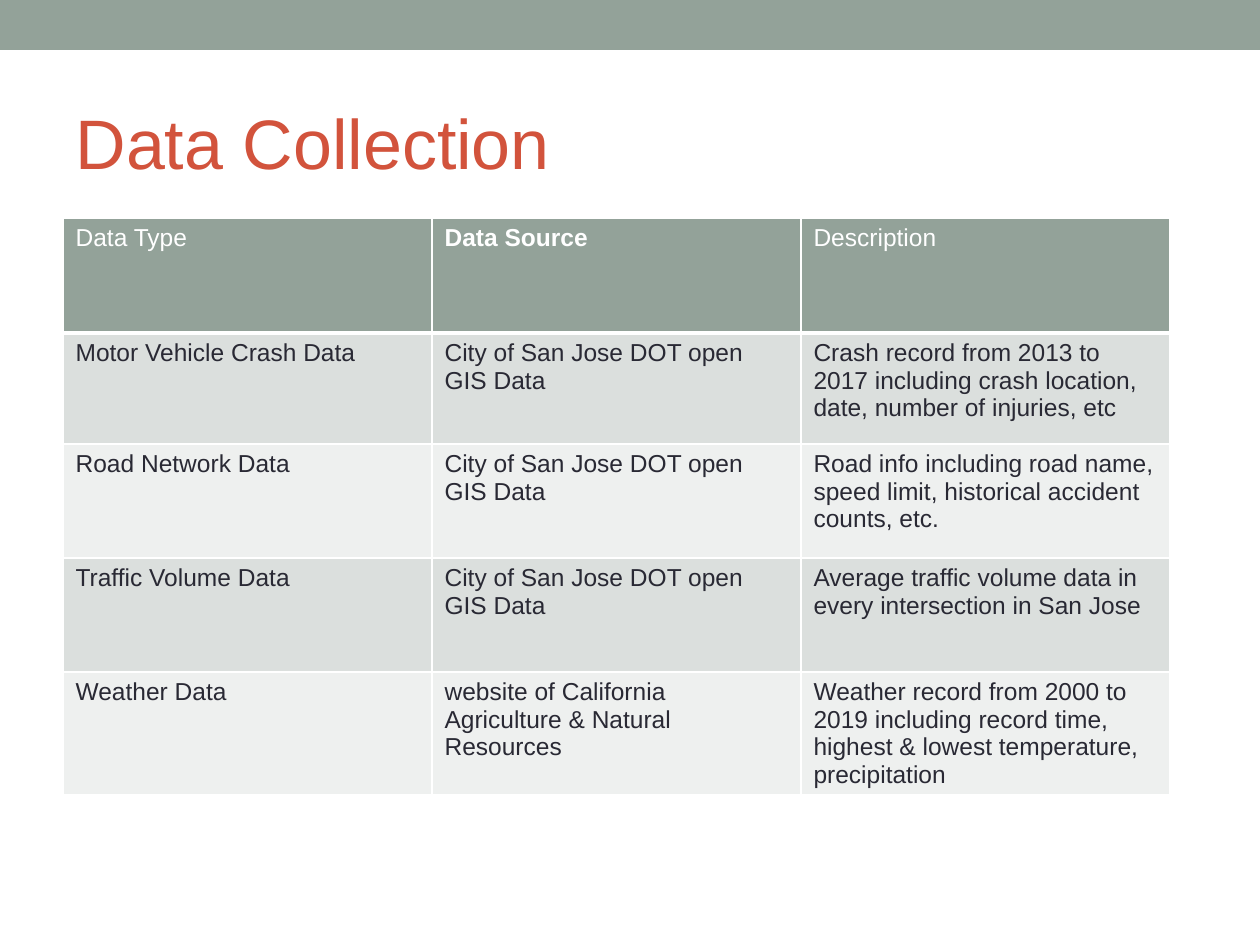
from lxml.etree import SubElement
from pptx import Presentation
from pptx.dml.color import RGBColor
from pptx.enum.shapes import MSO_SHAPE as Shape
from pptx.enum.text import MSO_ANCHOR as Anchor, PP_ALIGN as Align
from pptx.oxml.ns import qn
from pptx.util import Pt

# Content
TITLE = "Data Collection"
HEADINGS = ["Data Type", "Data Source", "Description"]
BOLD_HEADING = "Data Source"
CITY_SOURCE = "City of San Jose DOT open GIS Data"
DATASETS = [
    ("Motor Vehicle Crash Data", CITY_SOURCE,
     "Crash record from 2013 to 2017 including crash location, date, "
     "number of injuries, etc"),
    ("Road Network Data", CITY_SOURCE,
     "Road info including road name, speed limit, historical accident "
     "counts, etc."),
    ("Traffic Volume Data", CITY_SOURCE,
     "Average traffic volume data in every intersection in San Jose"),
    ("Weather Data", "website of California Agriculture & Natural Resources",
     "Weather record from 2000 to 2019 including record time, highest & "
     "lowest temperature, precipitation"),
]

# Look
FONT = "Arial"
SAGE = RGBColor(0x93, 0xA2, 0x99)
RUST = RGBColor(0xD2, 0x53, 0x3C)
INK = RGBColor(0x29, 0x29, 0x34)
WHITE = RGBColor(0xFF, 0xFF, 0xFF)
BANDS = [RGBColor(0xDB, 0xDF, 0xDD), RGBColor(0xEE, 0xF0, 0xEF)]

# Layout in px
PX = 914400 // 126
SLIDE_W, SLIDE_H = 1260, 945
BAND_H = 50
TITLE_BOX = (63, 73, 1134, 136)
TABLE_LEFT, TABLE_TOP, COLUMN_W = 63, 218, 369
ROW_HEIGHTS = [115, 111, 114, 114, 114]


def px(*lengths):
    return [length * PX for length in lengths]


def write(frame, text, size=14, color=INK, bold=False, anchor=Anchor.TOP):
    frame.word_wrap = True
    frame.vertical_anchor = anchor
    paragraph = frame.paragraphs[0]
    paragraph.alignment = Align.LEFT
    run = paragraph.add_run()
    run.text = text
    run.font.name = FONT
    run.font.size = Pt(size)
    run.font.bold = bold
    run.font.color.rgb = color


def set_borders(cell, **widths):
    properties = cell._tc.get_or_add_tcPr()
    for index, (side, width) in enumerate(widths.items()):
        line = SubElement(properties, qn(f"a:ln{side}"), w=str(Pt(width)))
        fill = SubElement(line, qn("a:solidFill"))
        SubElement(fill, qn("a:srgbClr"), val=str(WHITE))
        properties.insert(index, line)


def fill_cell(cell, text, fill, bottom=1, top=1, **text_format):
    write(cell.text_frame, text, **text_format)
    cell.fill.solid()
    cell.fill.fore_color.rgb = fill
    set_borders(cell, L=1, R=1, T=top, B=bottom)


prs = Presentation()
prs.slide_width, prs.slide_height = px(SLIDE_W, SLIDE_H)
slide = prs.slides.add_slide(prs.slide_layouts[5])

# Top band
band = slide.shapes.add_shape(Shape.RECTANGLE, *px(0, 0, SLIDE_W, BAND_H))
band.shadow.inherit = False
band.fill.solid()
band.fill.fore_color.rgb = SAGE
band.line.fill.background()

# Title
title = slide.shapes.title
title.left, title.top, title.width, title.height = px(*TITLE_BOX)
write(title.text_frame, TITLE, size=40, color=RUST, anchor=Anchor.MIDDLE)

# Table of data sets
columns = len(HEADINGS)
datasets_table = slide.shapes.add_table(
    len(ROW_HEIGHTS), columns,
    *px(TABLE_LEFT, TABLE_TOP, columns * COLUMN_W, sum(ROW_HEIGHTS))).table
datasets_table.first_row = datasets_table.horz_banding = False
for column in datasets_table.columns:
    column.width = COLUMN_W * PX
for row, height in zip(datasets_table.rows, ROW_HEIGHTS):
    row.height = height * PX

for col, heading in enumerate(HEADINGS):
    fill_cell(datasets_table.cell(0, col), heading, SAGE, bottom=3,
              color=WHITE, bold=heading == BOLD_HEADING)
for row, dataset in enumerate(DATASETS, start=1):
    for col, text in enumerate(dataset):
        fill_cell(datasets_table.cell(row, col), text, BANDS[(row - 1) % 2],
                  top=3 if row == 1 else 1)

prs.save("out.pptx")
